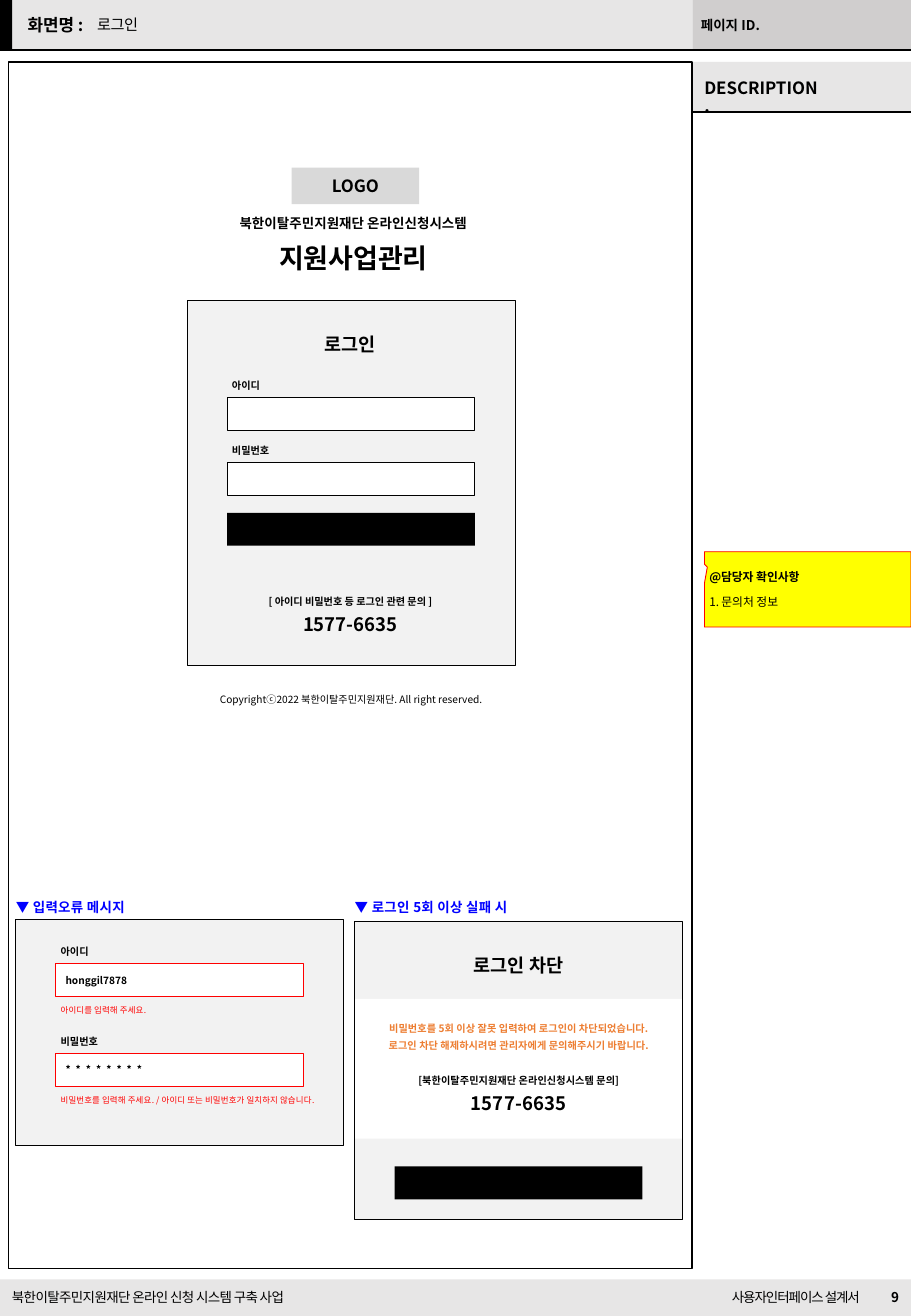
from lxml import etree
from pptx import Presentation
from pptx import util as u
from pptx.dml.color import RGBColor
from pptx.enum import shapes, text
from pptx.oxml.ns import qn

FONT = "Noto Sans CJK KR"
COLORS = {
    "black": "000000", "white": "FFFFFF", "bar": "E7E6E6", "page": "D0CECE",
    "panel": "F2F2F2", "logo": "D9D9D9", "red": "FF0000", "blue": "0000FF",
    "orange": "ED7D31", "yellow": "FFFF00",
}
LEFT, CENTER, RIGHT = text.PP_ALIGN.LEFT, text.PP_ALIGN.CENTER, text.PP_ALIGN.RIGHT
TOP, MIDDLE = text.MSO_ANCHOR.TOP, text.MSO_ANCHOR.MIDDLE
LABEL_INSETS = (0.04, 0.05, 0.1, 0.05)
HEADING_INSETS = (0, 0.05, 0.1, 0.05)
FIELD_INSETS = (0.08, 0, 0.04, 0)
FIELD_SIZE = (2.04, 0.27)

presentation = Presentation()
presentation.slide_width = u.Inches(7.5)
presentation.slide_height = u.Inches(10.83)
slide = presentation.slides.add_slide(presentation.slide_layouts[5])


def box(place, fill=None, line=None, width=0.5, kind=shapes.MSO_SHAPE.RECTANGLE):
    """Add a preset shape at (left, top, width, height); no colour means none drawn."""
    shape = slide.shapes.add_shape(kind, *map(u.Inches, place))
    shape.shadow.inherit = False
    if fill:
        shape.fill.solid()
        shape.fill.fore_color.rgb = RGBColor.from_string(COLORS[fill])
    else:
        shape.fill.background()
    if line:
        shape.line.color.rgb = RGBColor.from_string(COLORS[line])
        shape.line.width = u.Pt(width)
    else:
        shape.line.fill.background()
    return shape


def write(target, lines, color="black", bold=True, align=LEFT, insets=(0.1, 0.05, 0.1, 0.05),
          anchor=TOP, after=0, spacing=1.0, tracking=0):
    """Put (text, size) lines into a shape, or into a new text box at a place."""
    if isinstance(target, tuple):
        target = slide.shapes.add_textbox(*map(u.Inches, target))
    frame = target.text_frame
    frame.word_wrap = True
    frame.auto_size = text.MSO_AUTO_SIZE.NONE
    frame.vertical_anchor = anchor
    (frame.margin_left, frame.margin_top,
     frame.margin_right, frame.margin_bottom) = map(u.Inches, insets)
    for index, (words, size) in enumerate(lines):
        paragraph = frame.add_paragraph() if index else frame.paragraphs[0]
        paragraph.text = words
        paragraph.alignment = align
        paragraph.line_spacing = spacing
        paragraph.space_before = u.Pt(0)
        paragraph.space_after = u.Pt(after)
        font = paragraph.font
        font.name, font.size, font.bold = FONT, u.Pt(size), bold
        font.color.rgb = RGBColor.from_string(COLORS[color])
        properties = paragraph._p.pPr.find(qn("a:defRPr"))
        properties.set("spc", str(round(tracking * 100)))
        etree.SubElement(properties, qn("a:ea")).set("typeface", FONT)
    return frame.paragraphs


# Page frame, header and footer
box((0, 10.53, 7.5, 0.3), "bar")
write((0, 10.56, 2.68, 0.24), [("북한이탈주민지원재단 온라인 신청 시스템 구축 사업", 8)],
      bold=False, tracking=-0.4)
write((5.82, 10.56, 1.36, 0.24), [("사용자인터페이스 설계서", 8)],
      bold=False, align=RIGHT, tracking=-0.65)
write((7.18, 10.56, 0.32, 0.24), [("9", 8)], align=RIGHT, tracking=-0.7)

box((5.7, 0.51, 1.8, 0.42), "bar")
write((5.7, 0.61, 1.16, 0.25), [("DESCRIPTION.", 10)], spacing=0.9)
box((0.07, 0.51, 5.63, 9.93), line="black", width=1)
box((5.7, 0, 1.8, 0.42), "page")
box((0, 0, 5.7, 0.42), "bar")
box((0, 0, 0.1, 0.42), "black")
write((0.13, 0.09, 0.76, 0.25), [("화면명 :", 10)], spacing=0.9)
write((5.73, 0.11, 0.59, 0.22), [("페이지 ID.", 8)], insets=(0.04, 0.05, 0.04, 0.05), spacing=0.9)

title = slide.shapes.title
title.left, title.top, title.width, title.height = map(u.Inches, (0.76, 0.09, 4.83, 0.24))
write(title, [("로그인", 9)], bold=False, insets=LABEL_INSETS, spacing=0.9, tracking=-0.3)
# Bring the title in front of the header bar
slide.shapes._spTree.append(title._element)

for left, top, weight in ((5.7, 0.92, 1), (0, 0.41, 1.5)):
    rule = slide.shapes.add_connector(shapes.MSO_CONNECTOR.STRAIGHT, u.Inches(left), u.Inches(top),
                                      u.Inches(7.5), u.Inches(top))
    rule.line.color.rgb = RGBColor.from_string(COLORS["black"])
    rule.line.width = u.Pt(weight)
    etree.SubElement(rule._element.spPr, qn("a:effectLst"))

# Logo and system name
write(box((2.4, 1.38, 1.05, 0.3), "logo"), [("LOGO", 10)], align=CENTER, anchor=MIDDLE)
write((1.58, 1.72, 2.66, 0.59), [("북한이탈주민지원재단 온라인신청시스템", 8), ("지원사업관리", 16)],
      align=CENTER, after=6)

# Panels
box((1.54, 2.47, 2.7, 3.01), "panel", "black")
box((0.13, 7.57, 2.7, 1.86), "panel", "black")
block_panel = (2.92, 7.58, 2.7, 2.46)
box(block_panel, "panel")
block_message = box((2.92, 8.22, 2.7, 1.15), "white")
box(block_panel, line="black")

for left, top, words in ((1.55, 2.69, "로그인"), (2.94, 7.8, "로그인 차단")):
    write((left, top, 2.66, 0.29), [(words, 11)], align=CENTER)
for left, width, words in ((0.13, 1.08, "▼ 입력오류 메시지"), (2.92, 1.49, "▼ 로그인 5회 이상 실패 시")):
    write((left, 7.35, width, 0.24), [(words, 8)], color="blue", insets=HEADING_INSETS,
          tracking=0.15)

# Input fields: left, top, border, label, value, tracking, error
fields = [
    (1.87, 3.27, "black", "아이디", "", 0, ""),
    (1.87, 3.81, "black", "비밀번호", "", 0, ""),
    (0.46, 7.93, "red", "아이디", "honggil7878", 0, "아이디를 입력해 주세요."),
    (0.46, 8.67, "red", "비밀번호", "********", 3,
     "비밀번호를 입력해 주세요. / 아이디 또는 비밀번호가 일치하지 않습니다."),
]
for left, top, border, label, value, tracking, error in fields:
    field = box((left, top, *FIELD_SIZE), "white", border)
    write((left, top - 0.2, 1.9, 0.2), [(label, 6)], insets=LABEL_INSETS)
    if value:
        write(field, [(value, 6)], insets=FIELD_INSETS, anchor=MIDDLE, tracking=tracking)
        write((left, top + 0.29, 2.43, 0.19), [(error, 5)], color="red", bold=False,
              insets=LABEL_INSETS, tracking=0.05)

# Login and confirm buttons
for left, top in ((1.87, 4.22), (3.25, 9.6)):
    box((left, top, *FIELD_SIZE), "black")

# Contact details and messages
write((1.78, 4.85, 2.21, 0.43), [("[ 아이디 비밀번호 등 로그인 관련 문의 ]", 6), ("1577-6635", 11)],
      align=CENTER, insets=(0, 0.05, 0, 0.05), after=3)
write((1.54, 5.66, 2.7, 0.2), [("Copyrightⓒ2022 북한이탈주민지원재단. All right reserved.", 6)],
      bold=False, align=CENTER, insets=(0, 0.05, 0, 0.05))
message = write(block_message, [
    ("비밀번호를 5회 이상 잘못 입력하여 로그인이 차단되었습니다.", 6),
    ("로그인 차단 해제하시려면 관리자에게 문의해주시기 바랍니다.", 6),
    ("[북한이탈주민지원재단 온라인신청시스템 문의]", 6),
    ("1577-6635", 11),
], align=CENTER, insets=(0.08, 0.19, 0.08, 0.19), after=3, tracking=0.05)
for paragraph in message[:2]:
    paragraph.font.color.rgb = RGBColor.from_string(COLORS["orange"])
message[2].space_before = u.Pt(10.8)

# Reviewer callout
callout = box((5.8, 4.54, 1.7, 0.62), "yellow", "red",
              kind=shapes.MSO_SHAPE.RECTANGULAR_CALLOUT)
callout.adjustments[0], callout.adjustments[1] = -0.486, -0.296
note = write(callout, [("@담당자 확인사항", 7), ("문의처 정보", 7)],
             insets=(0.04, 0.05, 0.04, 0.05), anchor=MIDDLE, after=6)
note[1].font.bold = False
numbered = note[1]._p.pPr
numbered.set("marL", str(u.Inches(0.1)))
numbered.set("indent", str(u.Inches(-0.1)))
number = etree.Element(qn("a:buAutoNum"), type="arabicPeriod")
numbered.find(qn("a:defRPr")).addprevious(number)

presentation.save("out.pptx")
